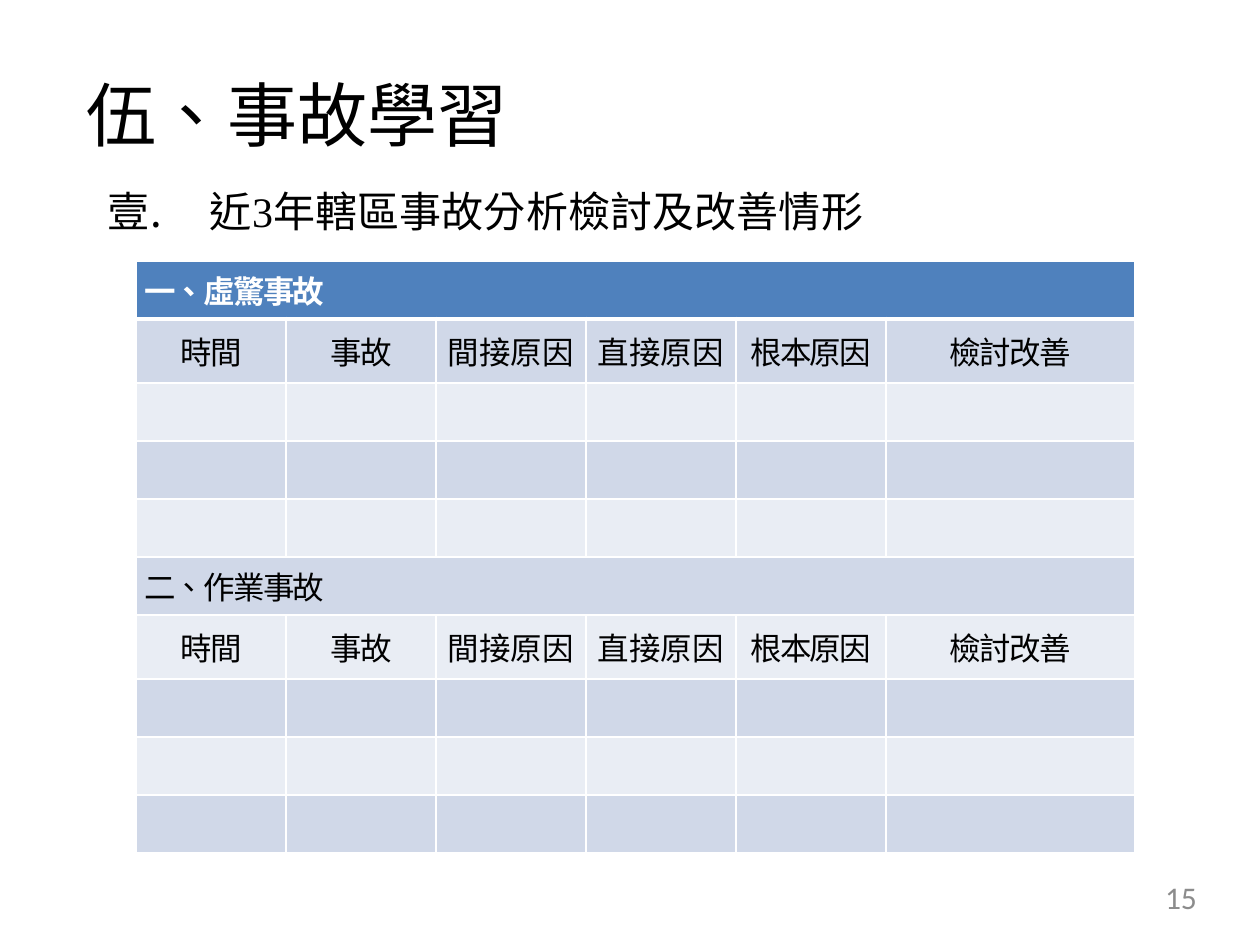
"""Build the accident learning slide with its heading, table and page number."""
from lxml import etree
from pptx import Presentation
from pptx import util as u
from pptx.dml.color import RGBColor
from pptx.enum import text
from pptx.oxml import ns

PX = u.Inches(1) / 126
BLACK = RGBColor(0x00, 0x00, 0x00)
WHITE = RGBColor(0xFF, 0xFF, 0xFF)
GRAY = RGBColor(0x8C, 0x8C, 0x8C)
HEADER_BLUE = RGBColor(0x4F, 0x81, 0xBD)
BANDS = [RGBColor(0xE9, 0xED, 0xF4), RGBColor(0xD0, 0xD8, 0xE8)]
SERIF = "Times New Roman"
CJK = "Noto Sans CJK SC"


def px(length):
    return u.Emu(round(length * PX))


def write(paragraph, runs, size, font=SERIF, color=BLACK, bold=False, align=text.PP_ALIGN.LEFT):
    paragraph.alignment = align
    for words, spacing in runs:
        run = paragraph.add_run()
        run.text = words
        run.font.size = u.Pt(size)
        run.font.name = font
        run.font.bold = bold
        run.font.color.rgb = color
        properties = run.font._element
        properties.set("lang", "zh-TW")
        properties.set("spc", str(spacing))
        etree.SubElement(properties, ns.qn("a:ea"), typeface=CJK)


presentation = Presentation()
presentation.slide_width = px(1260)
presentation.slide_height = px(945)
slide = presentation.slides.add_slide(presentation.slide_layouts[6])

paragraphs = []
for box in [(84, 72, 1091, 86), (105, 186, 892, 50), (907, 878, 290, 48)]:
    frame = slide.shapes.add_textbox(*map(px, box)).text_frame
    frame.word_wrap = True
    frame.margin_left = frame.margin_top = frame.margin_right = frame.margin_bottom = 0
    paragraphs.append(frame.paragraphs[0])
title, heading, page_number = paragraphs

title._p.get_or_add_pPr().set("marL", str(px(3)))
write(title, [("伍、事故學習", 10)], 40)

heading_properties = heading._p.get_or_add_pPr()
heading_properties.set("marL", str(px(105)))
heading_properties.set("indent", str(px(-102)))
etree.SubElement(heading_properties, ns.qn("a:buFont"), typeface=SERIF)
etree.SubElement(heading_properties, ns.qn("a:buAutoNum"), type="ea1ChtPeriod")
write(heading, [("近", 10), ("3", -10), ("年轄區", 10), ("事", -20), ("故分析", 10),
                ("檢", -20), ("討", 10), ("及", -20), ("改善情形", 10)], 24)

write(page_number, [("15", 0)], 18, font="Calibri", color=GRAY, align=text.PP_ALIGN.RIGHT)

column_widths = [150] * 5 + [249]
row_heights = [58, 64, 58, 58, 58] * 2
section_titles = {0: "一、虛驚事故", 5: "二、作業事故"}
column_titles = [("時間", -100), ("事故", -100), ("間接原因", 0),
                 ("直接原因", 0), ("根本原因", -100), ("檢討改善", -100)]

table = slide.shapes.add_table(len(row_heights), len(column_widths), px(136), px(261),
                               px(sum(column_widths)), px(sum(row_heights))).table
for column, width in zip(table.columns, column_widths):
    column.width = px(width)
for row, height in zip(table.rows, row_heights):
    row.height = px(height)

for row_index in range(len(row_heights)):
    for column_index, column_title in enumerate(column_titles):
        cell = table.cell(row_index, column_index)
        cell.vertical_anchor = text.MSO_ANCHOR.MIDDLE
        cell.margin_left = cell.margin_right = px(8)
        cell.margin_top = cell.margin_bottom = px(4)
        cell_properties = cell._tc.get_or_add_tcPr()
        for side in "LRTB":
            thick = (row_index, side) in [(0, "B"), (1, "T")]
            border = etree.SubElement(cell_properties, ns.qn(f"a:ln{side}"),
                                      w=str(u.Pt(3 if thick else 1)))
            fill = etree.SubElement(border, ns.qn("a:solidFill"))
            etree.SubElement(fill, ns.qn("a:srgbClr"), val=str(WHITE))
        cell.fill.solid()
        cell.fill.fore_color.rgb = BANDS[row_index % 2] if row_index else HEADER_BLUE
        if row_index % 5 == 1:
            write(cell.text_frame.paragraphs[0], [column_title], 18, font=CJK,
                  align=text.PP_ALIGN.CENTER)

for row_index, section_title in section_titles.items():
    cell = table.cell(row_index, 0)
    cell.merge(table.cell(row_index, len(column_widths) - 1))
    is_header = row_index == 0
    write(cell.text_frame.paragraphs[0], [(section_title, -100)], 18, font=CJK,
          color=WHITE if is_header else BLACK, bold=is_header)

presentation.save("out.pptx")
